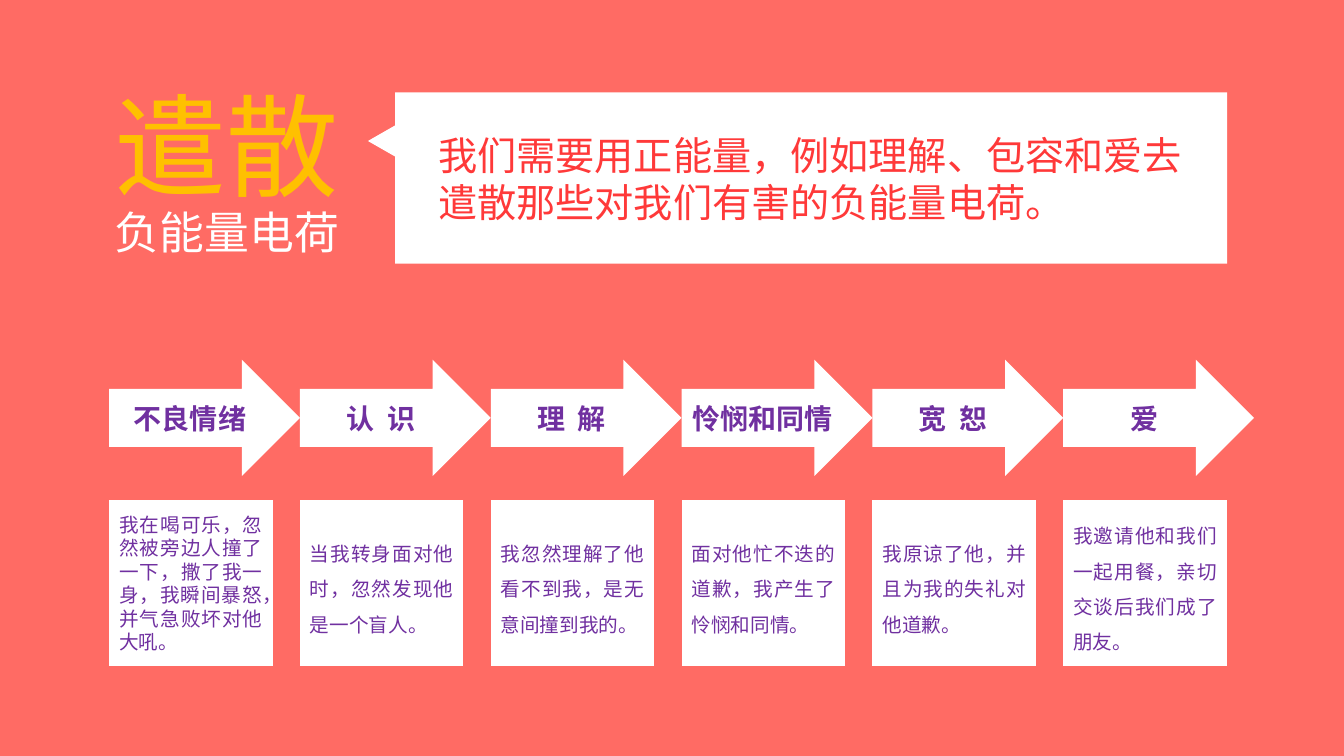
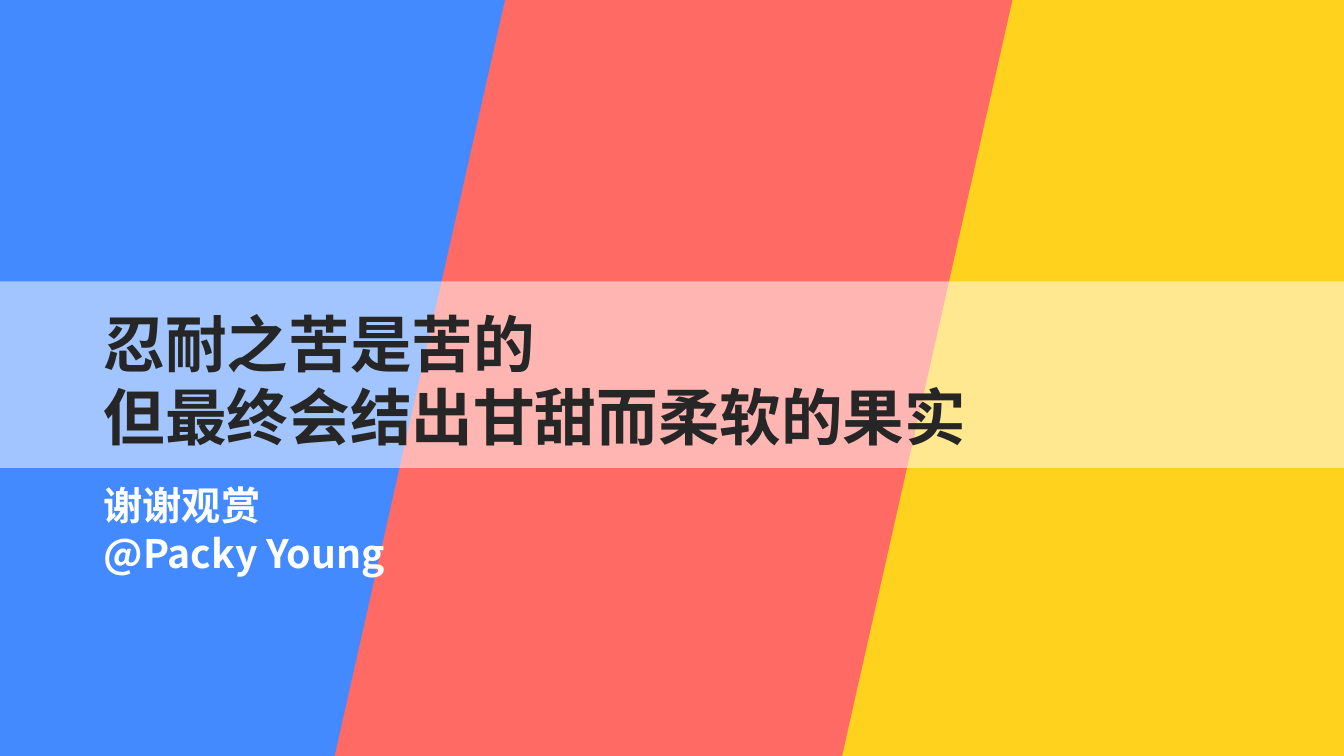
"""Build two slides: dispersing negative energy in six steps, and a closing page."""
from lxml.etree import SubElement
from pptx import Presentation
from pptx.dml.color import RGBColor
from pptx.enum.shapes import MSO_SHAPE
from pptx.enum.text import MSO_ANCHOR, PP_ALIGN
from pptx.oxml.ns import qn
from pptx.util import Pt

FONT = "Noto Sans CJK SC"
CORAL = RGBColor(0xFF, 0x6B, 0x64)
BLUE = RGBColor(0x43, 0x89, 0xFF)
YELLOW = RGBColor(0xFF, 0xD2, 0x1E)
WHITE = RGBColor(0xFF, 0xFF, 0xFF)
PURPLE = RGBColor(0x70, 0x30, 0xA0)
RED = RGBColor(0xFF, 0x39, 0x39)
GOLD = RGBColor(0xFF, 0xC0, 0x00)
DARK = RGBColor(0x26, 0x26, 0x26)


def draw(slide, kind, left, top, width, height, fill=WHITE):
    shape = slide.shapes.add_shape(kind, Pt(left), Pt(top), Pt(width), Pt(height))
    shape.shadow.inherit = False
    shape.fill.solid()
    shape.fill.fore_color.rgb = fill
    shape.line.fill.background()
    return shape


def write(shape, text, size, color, bold=False, align=PP_ALIGN.LEFT,
          anchor=MSO_ANCHOR.TOP, pitch=None, gap=0, wrap=True):
    frame = shape.text_frame
    frame.word_wrap = wrap
    frame.vertical_anchor = anchor
    for i, line in enumerate(text.split("\n")):
        para = frame.add_paragraph() if i else frame.paragraphs[0]
        para.alignment = align
        if pitch:
            para.line_spacing = pitch
        run = para.add_run()
        run.text = line
        font = run.font
        font.name, font.size, font.bold = FONT, Pt(size), bold
        font.color.rgb = color
        props = run._r.get_or_add_rPr()
        SubElement(props, qn("a:ea")).set("typeface", FONT)
        if gap:
            props.set("spc", str(gap))


deck = Presentation()
deck.slide_width, deck.slide_height = Pt(960), Pt(540)
blank = deck.slide_layouts[6]

steps = deck.slides.add_slide(blank)
steps.background.fill.solid()
steps.background.fill.fore_color.rgb = CORAL

STAGES = [
    ("不良情绪", "我在喝可乐，忽然被旁边人撞了一下，撒了我一身，我瞬间暴怒，并气急败坏对他大吼。"),
    ("认 识", "当我转身面对他时，忽然发现他是一个盲人。"),
    ("理 解", "我忽然理解了他看不到我，是无意间撞到我的。"),
    ("怜悯和同情", "面对他忙不迭的道歉，我产生了怜悯和同情。"),
    ("宽 恕", "我原谅了他，并且为我的失礼对他道歉。"),
    ("爱", "我邀请他和我们一起用餐，亲切交谈后我们成了朋友。"),
]
for i, (name, story) in enumerate(STAGES):
    left = 78 + i * 136.3
    arrow = draw(steps, MSO_SHAPE.RIGHT_ARROW, left, 257, 136.3, 83)
    write(arrow, name, 20, PURPLE, bold=True, align=PP_ALIGN.CENTER,
          anchor=MSO_ANCHOR.MIDDLE, gap=225 if " " in name else 0)
    card = draw(steps, MSO_SHAPE.LINE_CALLOUT_1, left, 357, 116.7, 119)
    for k, value in enumerate((0, 0.5, -0.17, 0.03)):
        card.adjustments[k] = value
    write(card, story, 14, PURPLE, align=PP_ALIGN.JUSTIFY,
          anchor=MSO_ANCHOR.MIDDLE, pitch=1.5 if i else None)

draw(steps, MSO_SHAPE.RECTANGLE, 282.2, 66, 594.3, 122.4)
tip = draw(steps, MSO_SHAPE.ISOSCELES_TRIANGLE, 260, 81.2, 44.6, 39)
tip.rotation = 270

TEXTS = [
    (steps, 75, 142.6, 250, 46, "负能量电荷", 32, WHITE, False, True),
    (steps, 306, 90, 556, 75, "我们需要用正能量，例如理解、包容和爱去遣散那些对我们有害的负能量电荷。",
     28, RED, False, True),
    (steps, 75, 51, 176.4, 104.4, "遣散", 80, GOLD, False, False),
]

close = deck.slides.add_slide(blank)
for left, fill in ((599, YELLOW), (236.5, CORAL), (-126, BLUE)):
    draw(close, MSO_SHAPE.PARALLELOGRAM, left, 0, 486.7, 540, fill)
band = draw(close, MSO_SHAPE.RECTANGLE, 0, 201, 960, 133.2)
tint = band.fill._xPr.find(qn("a:solidFill"))[0]
SubElement(tint, qn("a:alpha")).set("val", "51000")

TEXTS += [
    (close, 67, 214.6, 893, 113.8, "忍耐之苦是苦的\n但最终会结出甘甜而柔软的果实", 44, DARK, True, True),
    (close, 67, 340.6, 225.4, 75, "谢谢观赏\n@Packy Young", 28, WHITE, True, True),
]
for slide, left, top, width, height, text, size, color, bold, wrap in TEXTS:
    box = slide.shapes.add_textbox(Pt(left), Pt(top), Pt(width), Pt(height))
    write(box, text, size, color, bold=bold, wrap=wrap)

deck.save("out.pptx")
